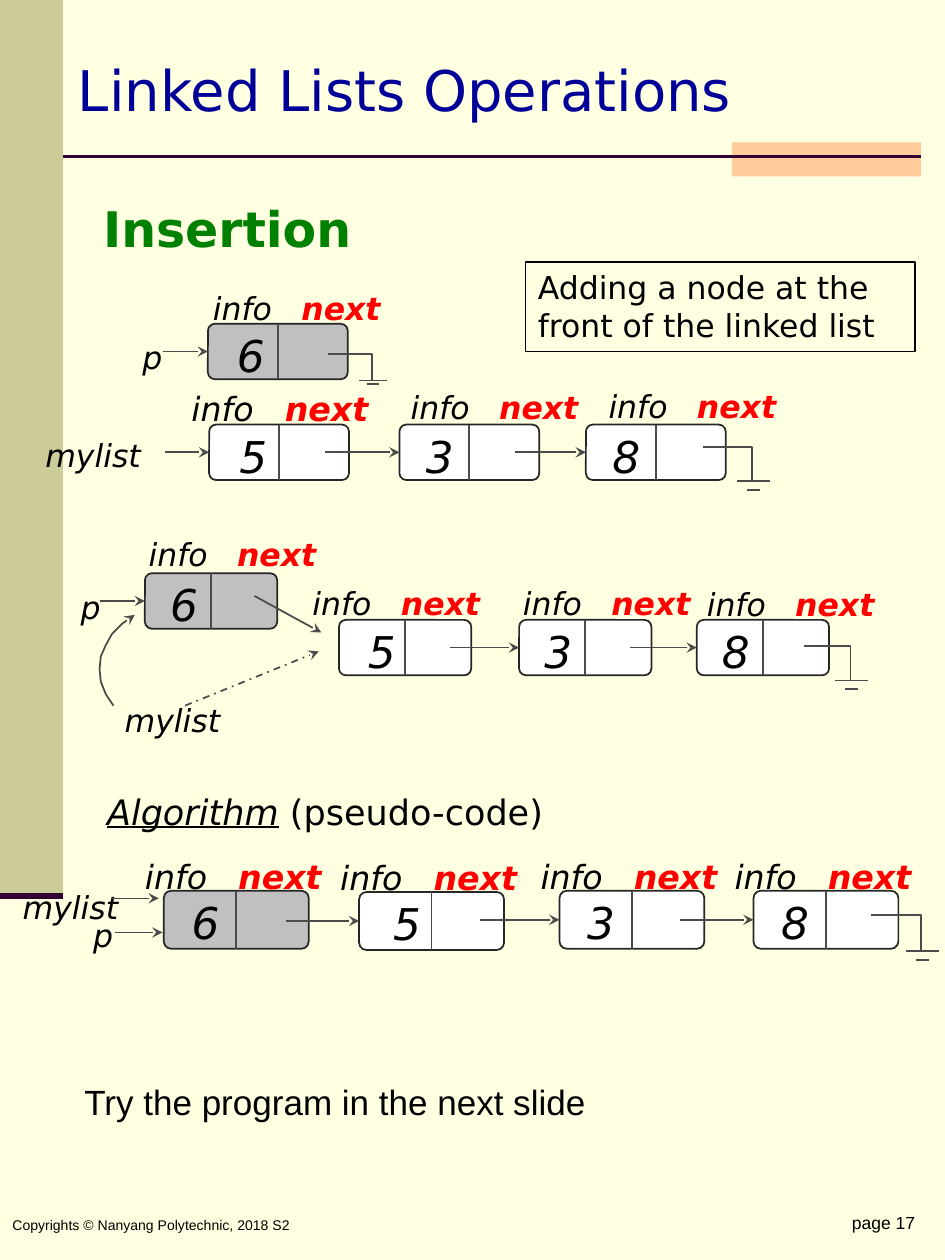
from pptx import Presentation
from pptx.dml.color import RGBColor
from pptx.enum.dml import MSO_LINE
from pptx.enum.shapes import MSO_CONNECTOR, MSO_SHAPE
from pptx.enum.text import MSO_ANCHOR, PP_ALIGN
from pptx.oxml.ns import qn
from pptx.util import Inches, Pt
from lxml.etree import SubElement

CREAM = RGBColor(0xFF, 0xFF, 0xE1)
KHAKI = RGBColor(0xCC, 0xCC, 0x99)
PEACH = RGBColor(0xFF, 0xCC, 0x99)
PLUM = RGBColor(0x33, 0x00, 0x33)
BLACK = RGBColor(0, 0, 0)
WHITE = RGBColor(0xFF, 0xFF, 0xFF)
GRAY = RGBColor(0xC0, 0xC0, 0xC0)
EDGE = RGBColor(0x26, 0x26, 0x26)
WIRE = RGBColor(0x4B, 0x4B, 0x4B)
RED = RGBColor(0xFF, 0, 0)
GREEN = RGBColor(0, 0x80, 0)
BLUE = RGBColor(0, 0, 0x99)

SANS = "DejaVu Sans"
PAD = (0.1, 0.05)
NONE = (0, 0)
MID = MSO_ANCHOR.MIDDLE
TOP = MSO_ANCHOR.TOP


class Deck:
    def __init__(self, slide):
        self.slide = slide
        self.shapes = slide.shapes
        self.base = {"name": SANS, "size": Pt(18)}

    def run(self, para, text, color=BLACK, **form):
        run = para.add_run()
        run.text = text
        for key, value in (self.base | form).items():
            setattr(run.font, key, value)
        run.font.color.rgb = color

    def text(self, x, y, w, h, lines, pad=NONE, anchor=MID):
        """Each line is a list of (text, format) pairs."""
        box = self.shapes.add_textbox(*map(Inches, (x, y, w, h)))
        frame = box.text_frame
        side, edge = map(Inches, pad)
        form = {"word_wrap": True, "vertical_anchor": anchor,
                "margin_left": side, "margin_right": side,
                "margin_top": edge, "margin_bottom": edge}
        for key, value in form.items():
            setattr(frame, key, value)
        for i, line in enumerate(lines):
            para = frame.add_paragraph() if i else frame.paragraphs[0]
            for words, style in line:
                self.run(para, words, **style)
        return box

    def word(self, x, y, w, h, text, size=18):
        self.text(x, y, w, h, [[(text, {"italic": True, "size": Pt(size)})]])

    def label(self, x, y, h, size):
        form = {"italic": True, "size": Pt(size)}
        box = self.text(x, y, 1.7, h, [[
            ("info\t", form), ("next", form | {"color": RED, "bold": True})]])
        props = box.text_frame.paragraphs[0]._p.get_or_add_pPr()
        tabs = SubElement(props, qn("a:tabLst"))
        SubElement(tabs, qn("a:tab"), pos=str(Inches(0.039 * size)), algn="l")

    def rect(self, x, y, w, h, fill=None, line=None, kind=MSO_SHAPE.RECTANGLE):
        shape = self.shapes.add_shape(kind, *map(Inches, (x, y, w, h)))
        shape.shadow.inherit = False
        if fill is None:
            shape.fill.background()
        else:
            shape.fill.solid()
            shape.fill.fore_color.rgb = fill
        if line is None:
            shape.line.fill.background()
        else:
            shape.line.color.rgb = line
            shape.line.width = Pt(1)
        return shape

    def tip(self, shape, end):
        SubElement(shape._element.spPr.find(qn("a:ln")), qn(end), type="stealth")

    def line(self, x1, y1, x2, y2, color=WIRE, width=1, arrow=False, dash=None):
        line = self.shapes.add_connector(
            MSO_CONNECTOR.STRAIGHT, *map(Inches, (x1, y1, x2, y2)))
        line.line.color.rgb = color
        line.line.width = Pt(width)
        if dash:
            line.line.dash_style = dash
        if arrow:
            self.tip(line, "a:tailEnd")
        SubElement(line._element.spPr, qn("a:effectLst"))
        return line

    def curve(self, points):
        points = [(Inches(x), Inches(y)) for x, y in points]
        build = self.shapes.build_freeform(*points[0])
        build.add_line_segments(points[1:], close=False)
        shape = build.convert_to_shape()
        shape.shadow.inherit = False
        shape.fill.background()
        shape.line.color.rgb = WIRE
        shape.line.width = Pt(1)
        return shape

    def node(self, x, y, w, h, digit, gap, fill=WHITE):
        box = self.rect(x, y, w, h, fill, EDGE, MSO_SHAPE.ROUNDED_RECTANGLE)
        box.adjustments[0] = 0.125
        split = self.line(x + w / 2, y, x + w / 2, y + h)
        split.begin_connect(box, 0)
        split.end_connect(box, 2)
        self.word(x + gap, y + 0.12, 0.19, 0.25, digit, 25)
        return box

    def join(self, x, box):
        """Level arrow from x to the left side of a node."""
        y = (box.top + box.height / 2) / Inches(1)
        self.line(x, y, box.left / Inches(1), y, arrow=True).end_connect(box, 1)

    def ground(self, x, y, w, h, half=0.13, drop=0.07):
        self.curve([(x, y), (x + w, y), (x + w, y + h)])
        mid = x + w + 0.01
        for reach, level in ((half, y + h), (0.05, y + h + drop)):
            self.line(mid - reach, level, mid + reach, level)


def main():
    show = Presentation()
    show.slide_width, show.slide_height = Inches(7.5), Inches(10)
    slide = show.slides.add_slide(show.slide_layouts[6])
    slide.background.fill.solid()
    slide.background.fill.fore_color.rgb = CREAM
    deck = Deck(slide)

    # Side band, rules and footer
    deck.rect(0, 0, 0.5, 7.11, KHAKI)
    deck.rect(5.81, 1.13, 1.5, 0.27, PEACH)
    deck.line(0.5, 1.24, 7.31, 1.24, PLUM, 1.5)
    deck.line(0, 7.11, 0.5, 7.11, PLUM, 3.5)
    arial = {"name": "Arial"}
    deck.text(0, 9.44, 4.88, 0.56, [[
        ("Copyrights © Nanyang Polytechnic, 2018 S2", arial | {"size": Pt(8)})]], PAD)
    page = deck.text(5.25, 9.57, 2.11, 0.3,
                     [[("page 17", arial | {"size": Pt(10)})]], PAD, TOP)
    page.text_frame.paragraphs[0].alignment = PP_ALIGN.RIGHT

    # Title, heading and remark
    deck.text(0.52, 0.39, 6.61, 0.86, [[
        ("Linked Lists Operations", {"size": Pt(32), "color": BLUE})]], PAD, TOP)
    head = deck.text(0.72, 1.25, 6.27, 0.9, [[
        ("Insertion", {"size": Pt(28), "color": GREEN, "bold": True})]], PAD, TOP)
    head.text_frame.paragraphs[0].line_spacing = 1.6
    deck.rect(4.17, 2.08, 3.09, 0.71, line=BLACK)
    deck.text(4.17, 2.08, 3.09, 0.71, [
        [("Adding a node at the", {})], [("front of the linked list", {})]], PAD, TOP)

    # New node p
    fresh = deck.node(1.65, 2.57, 1.11, 0.44, "6", 0.23, GRAY)
    deck.label(1.69, 2.31, 0.27, 18)
    deck.word(1.13, 2.71, 0.19, 0.25, "p")
    deck.join(1.29, fresh)
    deck.ground(2.6, 2.81, 0.35, 0.21, 0.11, 0.03)

    # List before the insertion
    for x, digit, gap, start in ((1.66, "5", 0.24, 1.31), (3.17, "3", 0.21, 2.58),
                                 (4.65, "8", 0.21, 4.09)):
        deck.join(start, deck.node(x, 3.37, 1.11, 0.44, digit, gap))
    for x, y, size in ((1.52, 3.09, 19), (3.26, 3.08, 18), (4.83, 3.07, 18)):
        deck.label(x, y, 0.3, size)
    deck.word(0.36, 3.46, 1.05, 0.3, "mylist")
    deck.ground(5.58, 3.55, 0.39, 0.27)

    # Relinking the front
    fresh = deck.node(1.15, 4.55, 1.05, 0.44, "6", 0.2, GRAY)
    deck.join(0.79, fresh)
    deck.word(0.64, 4.69, 0.18, 0.25, "p")
    deck.node(2.69, 4.92, 1.05, 0.44, "5", 0.23)
    for x, digit, start in ((4.12, "3", 3.57), (5.53, "8", 5)):
        deck.join(start, deck.node(x, 4.92, 1.05, 0.44, digit, 0.2))
    for x, y in ((1.18, 4.27), (2.48, 4.66), (4.15, 4.66), (5.61, 4.67)):
        deck.label(x, y, 0.25, 18)
    deck.word(0.99, 5.59, 1.2, 0.25, "mylist")
    deck.line(1.47, 5.6, 2.53, 5.17, arrow=True, dash=MSO_LINE.DASH_DOT)
    deck.line(2.02, 4.73, 2.55, 5.02, arrow=True)
    bend = deck.curve([
        (1.07, 4.88), (0.97, 4.95), (0.89, 5.03), (0.84, 5.12), (0.8, 5.21),
        (0.79, 5.31), (0.8, 5.41), (0.84, 5.51), (0.9, 5.6)])
    deck.tip(bend, "a:headEnd")
    deck.ground(6.38, 5.13, 0.37, 0.27)

    # Algorithm and the finished list
    big = {"size": Pt(20)}
    deck.text(0.85, 6.27, 4.15, 0.34, [[
        ("Algorithm", big | {"italic": True, "underline": True}),
        (" (pseudo-code)", big)]])
    for x, y, digit, gap, fill, start in (
            (1.3, 7.07, "6", 0.22, GRAY, None), (2.85, 7.08, "5", 0.27, WHITE, 2.27),
            (4.44, 7.07, "3", 0.22, WHITE, 3.81), (5.98, 7.07, "8", 0.22, WHITE, 5.4)):
        box = deck.node(x, y, 1.15, 0.46, digit, gap, fill)
        deck.label(x - 0.15, y - 0.23, 0.23, 19)
        if start:
            deck.join(start, box)
    deck.word(0.18, 7.05, 0.95, 0.3, "mylist")
    deck.word(0.74, 7.29, 0.2, 0.26, "p")
    deck.line(0.88, 7.13, 1.26, 7.13, arrow=True)
    deck.line(0.91, 7.4, 1.29, 7.4, arrow=True)
    deck.ground(6.91, 7.26, 0.4, 0.29)

    # Closing hint
    deck.text(0.67, 8.21, 6.67, 1.06, [[
        ("Try the program in the next slide", arial | big)]])
    show.save("out.pptx")


if __name__ == "__main__":
    main()
